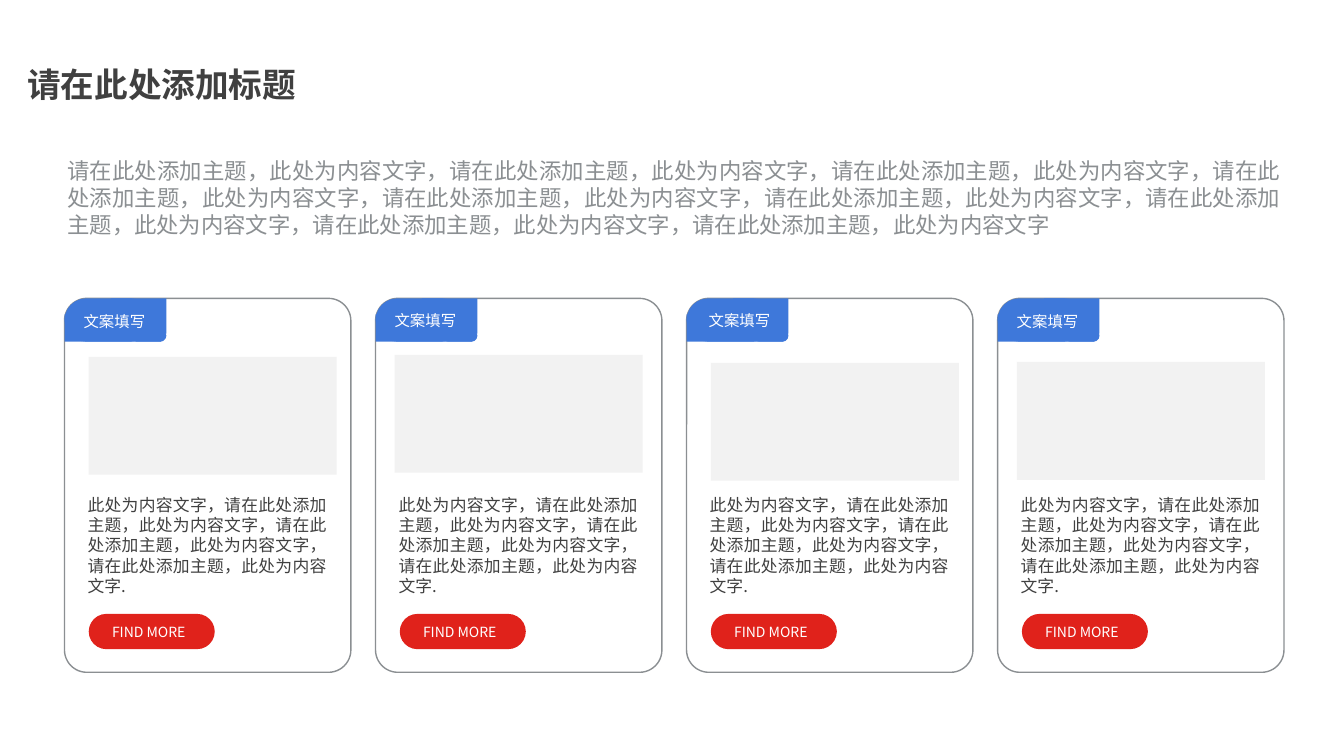
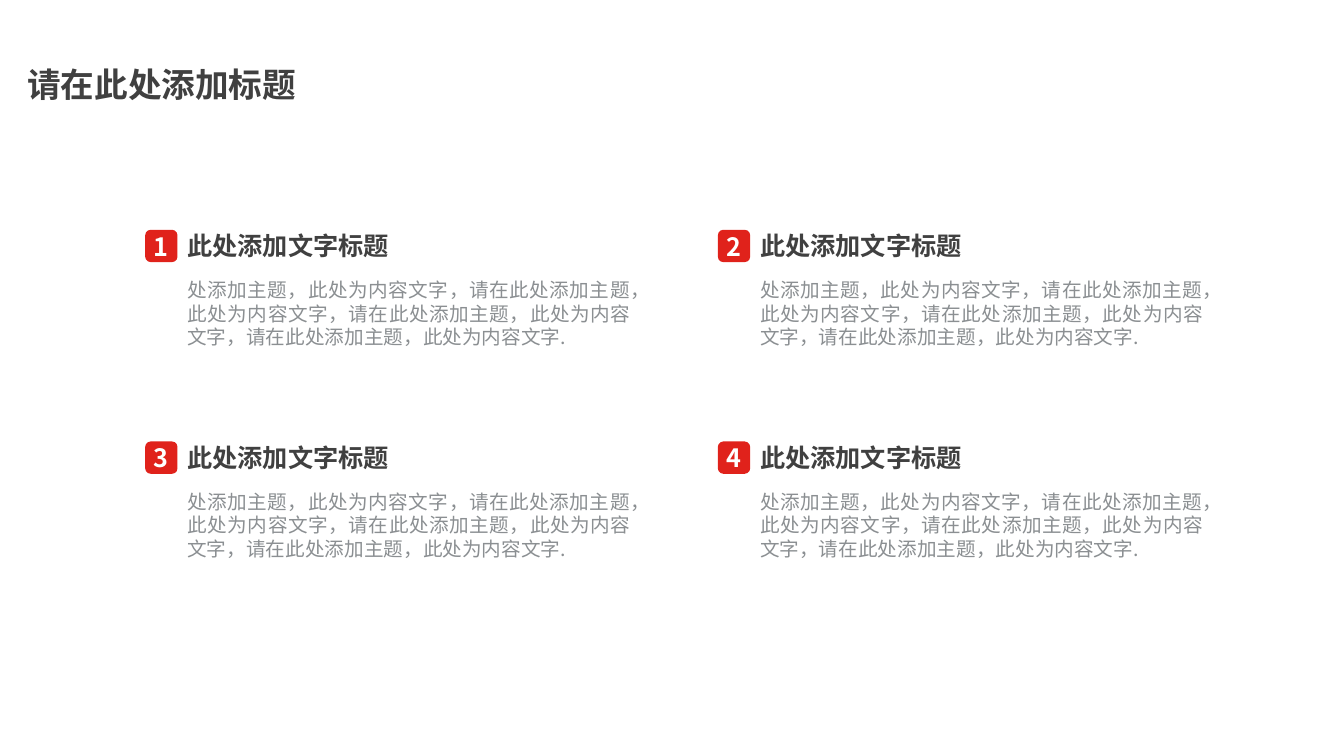
import dataclasses
import typing

import pptx
import pptx.dml.color
import pptx.enum.shapes
import pptx.enum.text
import pptx.oxml.ns
import pptx.util

Inches = pptx.util.Inches
RGB = pptx.dml.color.RGBColor
Shape = pptx.enum.shapes.MSO_SHAPE
Align = pptx.enum.text.PP_ALIGN
Anchor = pptx.enum.text.MSO_ANCHOR

RED = RGB(0xE0, 0x22, 0x1B)
BLUE = RGB(0x3E, 0x78, 0xDA)
WHITE = RGB(0xFF, 0xFF, 0xFF)
PALE = RGB(0xF2, 0xF2, 0xF2)
GREY = RGB(0x8B, 0x8F, 0x92)
DARK = RGB(0x40, 0x40, 0x40)

FONT = "Noto Sans CJK SC"
WIDTH, HEIGHT = 13.33, 7.5
TITLE = "请在此处添加标题"
PHRASE = "请在此处添加主题，此处为内容文字"
INTRO = "，".join([PHRASE] * 9)
CARD_TEXT = "此处为内容文字，" + "，".join([PHRASE] * 3) + "."
ITEM_TEXT = "处添加主题，此处为内容文字，" + "，".join([PHRASE] * 3) + "."


class Area(typing.NamedTuple):
    left: float
    top: float
    width: float
    height: float

    def inside(self, left: float, top: float) -> "Area":
        """Shift this area by the corner of the cell that holds it."""
        return Area(self.left + left, self.top + top, self.width, self.height)

    def lengths(self) -> list[int]:
        return [Inches(value) for value in self]


@dataclasses.dataclass(frozen=True)
class Grid:
    left: float
    top: float
    column_step: float
    row_step: float = 0

    def corner(self, column: int, row: int = 0) -> tuple[float, float]:
        return self.left + column * self.column_step, self.top + row * self.row_step


@dataclasses.dataclass(frozen=True)
class Card:
    """Places of the tab label and the picture panel, measured from the card's corner."""
    label: tuple[float, float]
    panel: tuple[float, float]


@dataclasses.dataclass(frozen=True)
class Item:
    number: int
    column: int
    row: int


CARD_GRID = Grid(0.64, 2.96, 3.085)
CARDS = [
    Card((0.09, 0.09), (0.24, 0.58)),
    Card((0.09, 0.08), (0.19, 0.56)),
    Card((0.12, 0.08), (0.24, 0.64)),
    Card((0.09, 0.09), (0.19, 0.63)),
]
# Together these pieces give the tab a wide top-left and a tight bottom-right corner.
TAB_PIECES = [
    (Shape.ROUNDED_RECTANGLE, Area(0, 0, 0.87, 0.43)),
    (Shape.RECTANGLE, Area(0, 0.16, 0.96, 0.27)),
    (Shape.RECTANGLE, Area(0.46, 0, 0.55, 0.35)),
    (Shape.ROUNDED_RECTANGLE, Area(0.66, 0.31, 0.35, 0.12)),
]

ITEM_GRID = Grid(1.44, 2.28, 5.68, 2.1)
ITEMS = [Item(row * 2 + column + 1, column, row) for row in range(2) for column in range(2)]


def write(frame, text: str, *, size: float, color: RGB, bold: bool = False,
          align=Align.LEFT, anchor=Anchor.TOP, wrap: bool = False,
          insets: tuple[float, float] = (0.1, 0.05)) -> None:
    """Put one paragraph in a text frame; insets are (sides, top and bottom)."""
    frame.auto_size = pptx.enum.text.MSO_AUTO_SIZE.NONE
    frame.word_wrap = wrap
    frame.vertical_anchor = anchor
    frame.margin_left = frame.margin_right = Inches(insets[0])
    frame.margin_top = frame.margin_bottom = Inches(insets[1])
    para = frame.paragraphs[0]
    para.alignment = align
    span = para.add_run()
    span.text = text
    span.font.name = FONT
    span.font.size = pptx.util.Pt(size)
    span.font.bold = bold
    span.font.color.rgb = color
    east_asian = pptx.oxml.ns.qn("a:ea")
    span.font._element.get_or_add_latin().addnext(
        span.font._element.makeelement(east_asian, {"typeface": FONT}))


def add_text(page, area: Area, text: str, **style) -> None:
    write(page.shapes.add_textbox(*area.lengths()).text_frame, text, **style)


def add_block(shapes, kind, area: Area, fill: RGB, *, rounding: float | None = None,
              line: RGB | None = None):
    block = shapes.add_shape(kind, *area.lengths())
    block.shadow.inherit = False
    block.fill.solid()
    block.fill.fore_color.rgb = fill
    if line is None:
        block.line.fill.background()
    else:
        block.line.color.rgb = line
        block.line.width = pptx.util.Pt(1)
    if rounding is not None:
        block.adjustments[0] = rounding
    return block


def add_page(deck):
    """Add a title-only page with the shared title."""
    page = deck.slides.add_slide(deck.slide_layouts[5])
    title = page.shapes.title
    title.left, title.top, title.width, title.height = Area(0.17, 0.58, 2.89, 0.5).lengths()
    write(title.text_frame, TITLE, size=24, color=DARK, bold=True)
    return page


def add_card(page, card: Card, column: int) -> None:
    corner = CARD_GRID.corner(column)
    add_block(page.shapes, Shape.ROUNDED_RECTANGLE, Area(0, 0, 2.84, 3.71).inside(*corner),
              WHITE, rounding=0.078, line=GREY)
    tab = page.shapes.add_group_shape()
    for kind, area in TAB_PIECES:
        rounding = 0.5 if kind == Shape.ROUNDED_RECTANGLE else None
        add_block(tab.shapes, kind, area.inside(*corner), BLUE, rounding=rounding)
    add_text(page, Area(*card.label, 0.82, 0.29).inside(*corner), "文案填写",
             size=11, color=WHITE)
    add_block(page.shapes, Shape.RECTANGLE, Area(*card.panel, 2.46, 1.17).inside(*corner), PALE)
    add_text(page, Area(0.13, 1.9, 2.57, 1.11).inside(*corner), CARD_TEXT,
             size=12, color=DARK, align=Align.JUSTIFY, wrap=True)
    button = add_block(page.shapes, Shape.ROUNDED_RECTANGLE,
                       Area(0.24, 3.13, 1.25, 0.35).inside(*corner), RED, rounding=0.5)
    write(button.text_frame, "FIND MORE", size=10, color=WHITE, anchor=Anchor.MIDDLE,
          wrap=True, insets=(0.18, 0))


def add_item(page, item: Item) -> None:
    corner = ITEM_GRID.corner(item.column, item.row)
    badge = add_block(page.shapes, Shape.ROUNDED_RECTANGLE,
                      Area(0, 0, 0.32, 0.32).inside(*corner), RED)
    write(badge.text_frame, str(item.number), size=18, color=WHITE, bold=True,
          align=Align.CENTER, anchor=Anchor.MIDDLE, insets=(0, 0))
    add_text(page, Area(0.32, -0.04, 2.26, 0.4).inside(*corner), "此处添加文字标题",
             size=18, color=DARK, bold=True)
    add_text(page, Area(0.32, 0.43, 4.59, 0.81).inside(*corner), ITEM_TEXT,
             size=14, color=GREY, align=Align.JUSTIFY, wrap=True)


def main() -> None:
    deck = pptx.Presentation()
    deck.slide_width, deck.slide_height = Inches(WIDTH), Inches(HEIGHT)

    cards_page = add_page(deck)
    add_text(cards_page, Area(0.57, 1.51, 12.24, 1.18), INTRO,
             size=16, color=GREY, align=Align.JUSTIFY, wrap=True)
    for column, card in enumerate(CARDS):
        add_card(cards_page, card, column)

    items_page = add_page(deck)
    for item in ITEMS:
        add_item(items_page, item)

    deck.save("out.pptx")


if __name__ == "__main__":
    main()
